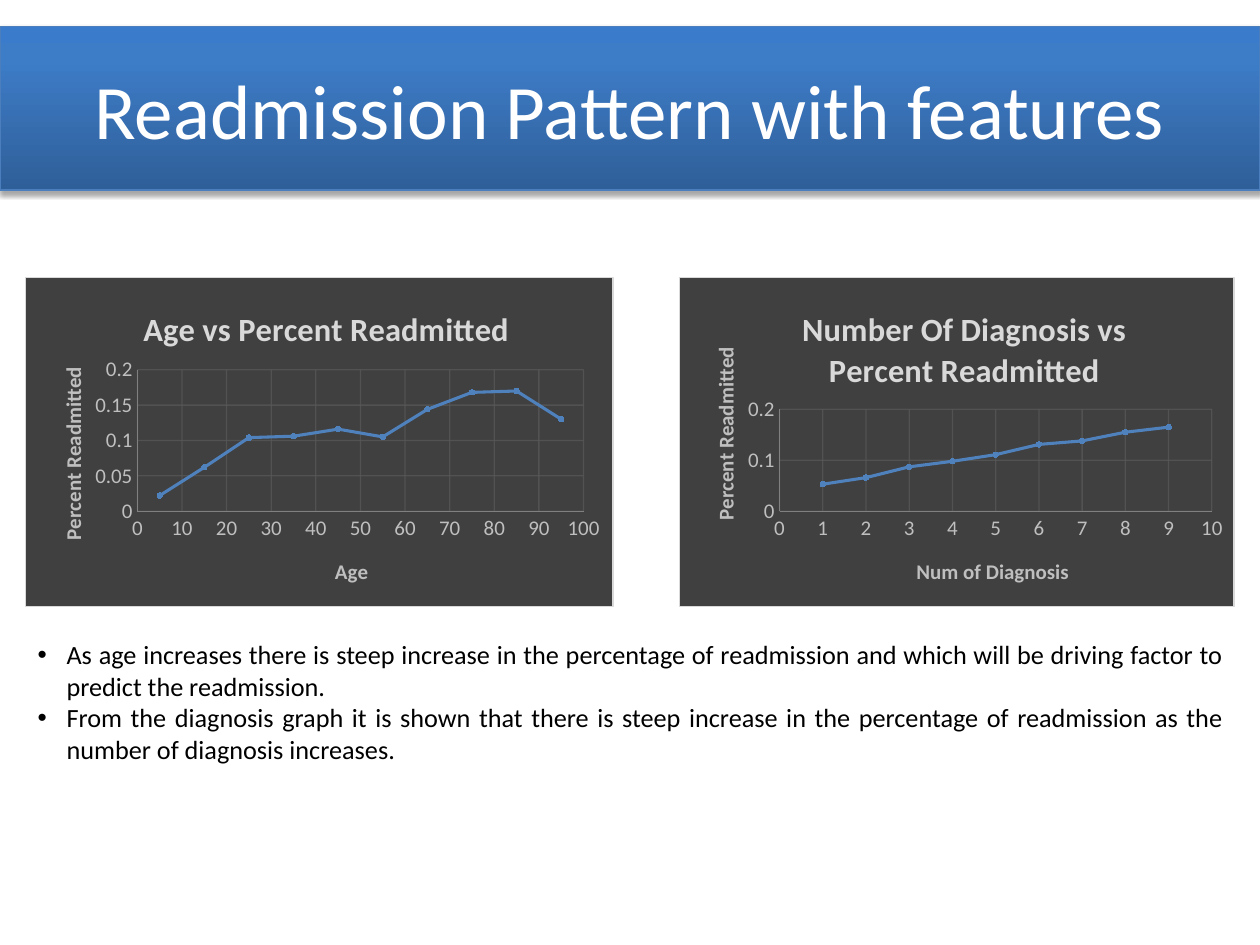
from lxml import etree
from pptx import Presentation
from pptx.chart.data import XyChartData
from pptx.dml.color import RGBColor
from pptx.enum.chart import XL_CHART_TYPE, XL_MARKER_STYLE, XL_TICK_MARK
from pptx.enum.shapes import MSO_SHAPE
from pptx.enum.text import MSO_ANCHOR, PP_ALIGN
from pptx.oxml import parse_xml
from pptx.oxml.ns import nsdecls, qn
from pptx.util import Inches, Pt

SCATTER = XL_CHART_TYPE.XY_SCATTER_LINES
CIRCLE = XL_MARKER_STYLE.CIRCLE
NO_TICK = XL_TICK_MARK.NONE
RECT = MSO_SHAPE.RECTANGLE
MIDDLE = MSO_ANCHOR.MIDDLE
CENTER, JUSTIFY = PP_ALIGN.CENTER, PP_ALIGN.JUSTIFY


def color(code):
    return RGBColor.from_string(code)


def place(node, pos, index):
    """Give a chart part a fixed place, in fractions of the chart."""
    for old in node.findall(qn("c:layout")):
        node.remove(old)
    inner = '<c:layoutTarget val="inner"/>' if len(pos) == 4 else ""
    modes = '<c:xMode val="edge"/><c:yMode val="edge"/>'
    vals = "".join(f'<c:{n} val="{v}"/>' for n, v in zip("xywh", pos))
    node.insert(index, parse_xml(
        f'<c:layout {nsdecls("c")}><c:manualLayout>{inner}{modes}{vals}'
        '</c:manualLayout></c:layout>'))


prs = Presentation()
prs.slide_width, prs.slide_height = Inches(10), Inches(7.5)
slide = prs.slides.add_slide(prs.slide_layouts[6])

# Title band with gradient and shadow
band = slide.shapes.add_shape(RECT, 0, Inches(0.21), Inches(10), Inches(1.3))
band.line.color.rgb = color("4B7EBC")
band.line.width = Pt(0.75)
stops = "".join(
    f'<a:gs pos="{pos}000"><a:srgbClr val="{code}"/></a:gs>'
    for pos, code in [(0, "2F5F99"), (80, "3D7CC7"), (100, "3A7CCB")])
props = band._element.spPr
props.insert(2, parse_xml(
    f'<a:gradFill {nsdecls("a")} rotWithShape="1"><a:gsLst>{stops}</a:gsLst>'
    '<a:lin ang="16200000" scaled="0"/></a:gradFill>'))
props.append(parse_xml(
    f'<a:effectLst {nsdecls("a")}><a:outerShdw blurRad="39370" dist="22860" '
    'dir="5400000" rotWithShape="0"><a:srgbClr val="000000">'
    '<a:alpha val="35000"/></a:srgbClr></a:outerShdw></a:effectLst>'))
frame = band.text_frame
frame.text = "Readmission Pattern with features"
frame.vertical_anchor = MIDDLE
para = frame.paragraphs[0]
para.alignment = CENTER
font = para.runs[0].font
font.name, font.size = "Calibri", Pt(44)
font.color.rgb = color("FFFFFF")

# Charts: left, width, title, x title, x values, y values, x max, x unit,
# y unit, then the places of plot, title, x title and y title
charts = [
    (0.2, 4.67, "Age vs Percent Readmitted", "Age", range(5, 100, 10),
     [0.022, 0.062, 0.104, 0.106, 0.116, 0.105, 0.144, 0.168, 0.17, 0.13],
     100, 10, 0.05,
     (0.19, 0.28, 0.76, 0.43), (0.19, 0.07), (0.52, 0.84), (0.05, 0.26)),
    (5.39, 4.41, "Number Of Diagnosis vs Percent Readmitted",
     "Num of Diagnosis", range(1, 10),
     [0.053, 0.066, 0.087, 0.098, 0.111, 0.131, 0.138, 0.155, 0.165],
     10, 1, 0.1,
     (0.18, 0.4, 0.78, 0.31), (0.21, 0.07), (0.42, 0.84), (0.05, 0.2)),
]
for (left, width, head, label, xs, ys, xmax, xunit, yunit,
     plot, headpos, xpos, ypos) in charts:
    data = XyChartData()
    points = data.add_series("Series 1")
    for x, y in zip(xs, ys):
        points.add_data_point(x, y)
    chart = slide.shapes.add_chart(
        SCATTER, Inches(left), Inches(2.2), Inches(width), Inches(2.62),
        data).chart
    chart.has_legend = False
    chart.font.name, chart.font.size = "Calibri", Pt(10)

    # Dark panel and plot place
    root = chart._chartSpace
    root.find(qn("c:chart")).addnext(parse_xml(
        f'<c:spPr {nsdecls("c", "a")}><a:solidFill><a:srgbClr val="404040"/>'
        '</a:solidFill><a:ln w="9525"><a:solidFill><a:srgbClr val="D9D9D9"/>'
        '</a:solidFill></a:ln></c:spPr>'))
    place(root.find(".//" + qn("c:plotArea")), plot, 0)

    # Axes
    xaxis, yaxis = chart.category_axis, chart.value_axis
    for axis, top, unit in [(xaxis, xmax, xunit), (yaxis, 0.2, yunit)]:
        axis.minimum_scale, axis.maximum_scale = 0, top
        axis.major_unit = unit
        axis.major_tick_mark = axis.minor_tick_mark = NO_TICK
        axis.tick_labels.number_format = "General"
        axis.tick_labels.number_format_is_linked = False
        font = axis.tick_labels.font
        font.name, font.size = "Calibri", Pt(12)
        font.color.rgb = color("BFBFBF")
        axis.has_major_gridlines = True
        grid = axis.major_gridlines.format.line
        for line, code in [(axis.format.line, "808080"), (grid, "595959")]:
            line.color.rgb = color(code)
            line.width = Pt(0.75)
        tint = axis._element.find(qn("c:majorGridlines")).find(
            ".//" + qn("a:srgbClr"))
        etree.SubElement(tint, qn("a:alpha")).set("val", "75000")

    # Chart and axis titles
    for owner, text, size, code, pos in [
            (chart, head, 18.6, "D9D9D9", headpos),
            (xaxis, label, 12, "BFBFBF", xpos),
            (yaxis, "Percent Readmitted", 12, "BFBFBF", ypos)]:
        owner.has_title = True
        title = owner.chart_title if owner is chart else owner.axis_title
        title.text_frame.text = text
        font = title.text_frame.paragraphs[0].runs[0].font
        font.name, font.size, font.bold = "Calibri", Pt(size), True
        font.color.rgb = color(code)
        place(title._element, pos, 1)
        if owner is yaxis:
            body = title._element.find(".//" + qn("a:bodyPr"))
            body.set("rot", "-5400000")
            body.set("vert", "horz")

    # Series
    series = chart.plots[0].series[0]
    series.smooth = False
    series.format.line.color.rgb = color("4F81BD")
    series.format.line.width = Pt(1.75)
    mark = series.marker
    mark.style, mark.size = CIRCLE, 3
    mark.format.fill.solid()
    mark.format.fill.fore_color.rgb = color("95B3D7")
    mark.format.line.color.rgb = color("4F81BD")

# Findings
box = slide.shapes.add_textbox(Inches(0.2), Inches(5.02), Inches(9.61),
                               Inches(1.11))
frame = box.text_frame
frame.word_wrap = True
frame.text = (
    "As age increases there is steep increase in the percentage of "
    "readmission and which will be driving factor to predict the "
    "readmission.\n"
    "From the diagnosis graph it is shown that there is steep increase in "
    "the percentage of readmission as the number of diagnosis increases.")
for para in frame.paragraphs:
    para.alignment = JUSTIFY
    font = para.runs[0].font
    font.name, font.size = "Calibri", Pt(15)
    font.color.rgb = color("000000")
    ppr = para._p.get_or_add_pPr()
    ppr.set("marL", str(Inches(0.23)))
    ppr.set("indent", str(Inches(-0.23)))
    etree.SubElement(ppr, qn("a:buFont")).set("typeface", "Arial")
    etree.SubElement(ppr, qn("a:buChar")).set("char", "•")

prs.save("out.pptx")
